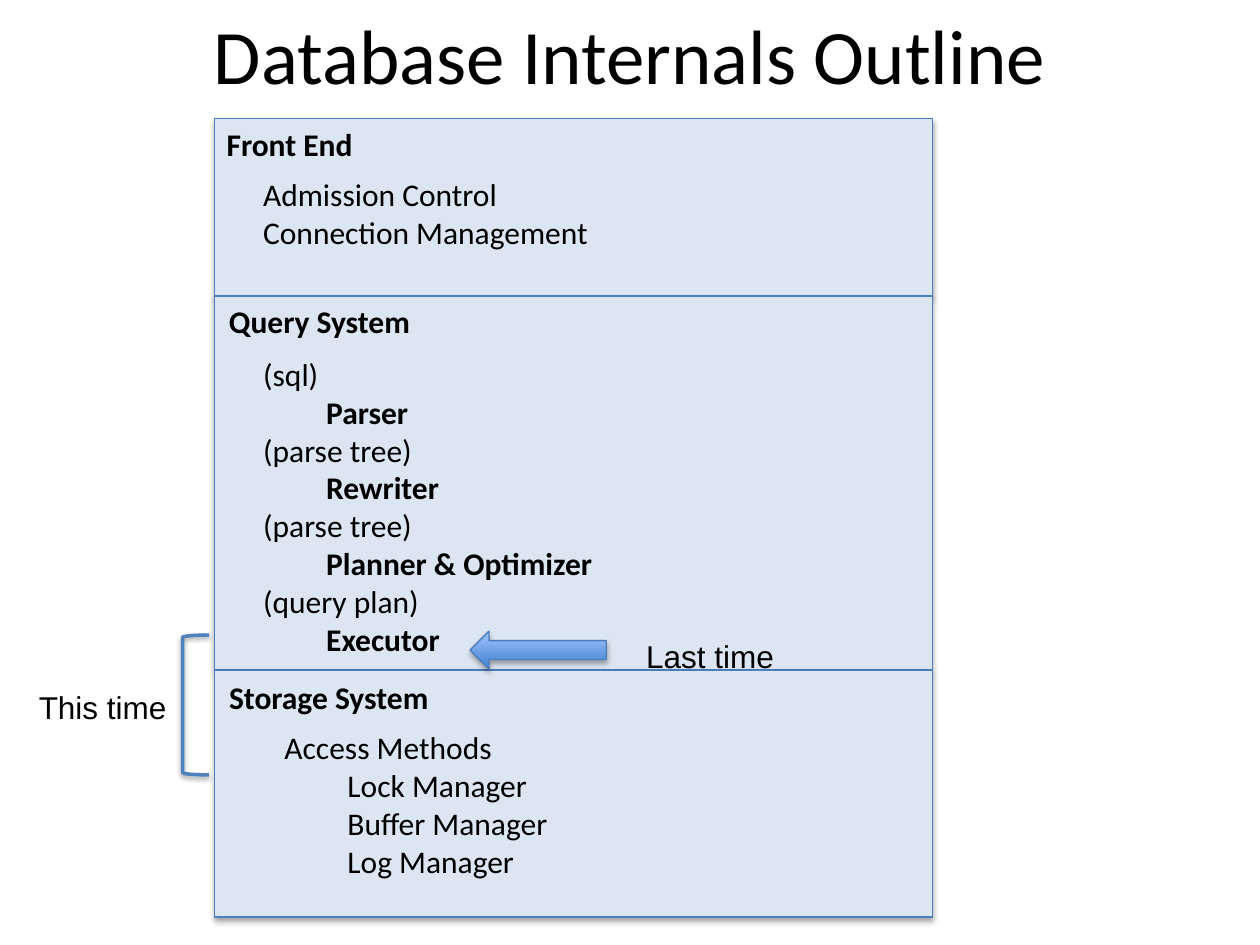
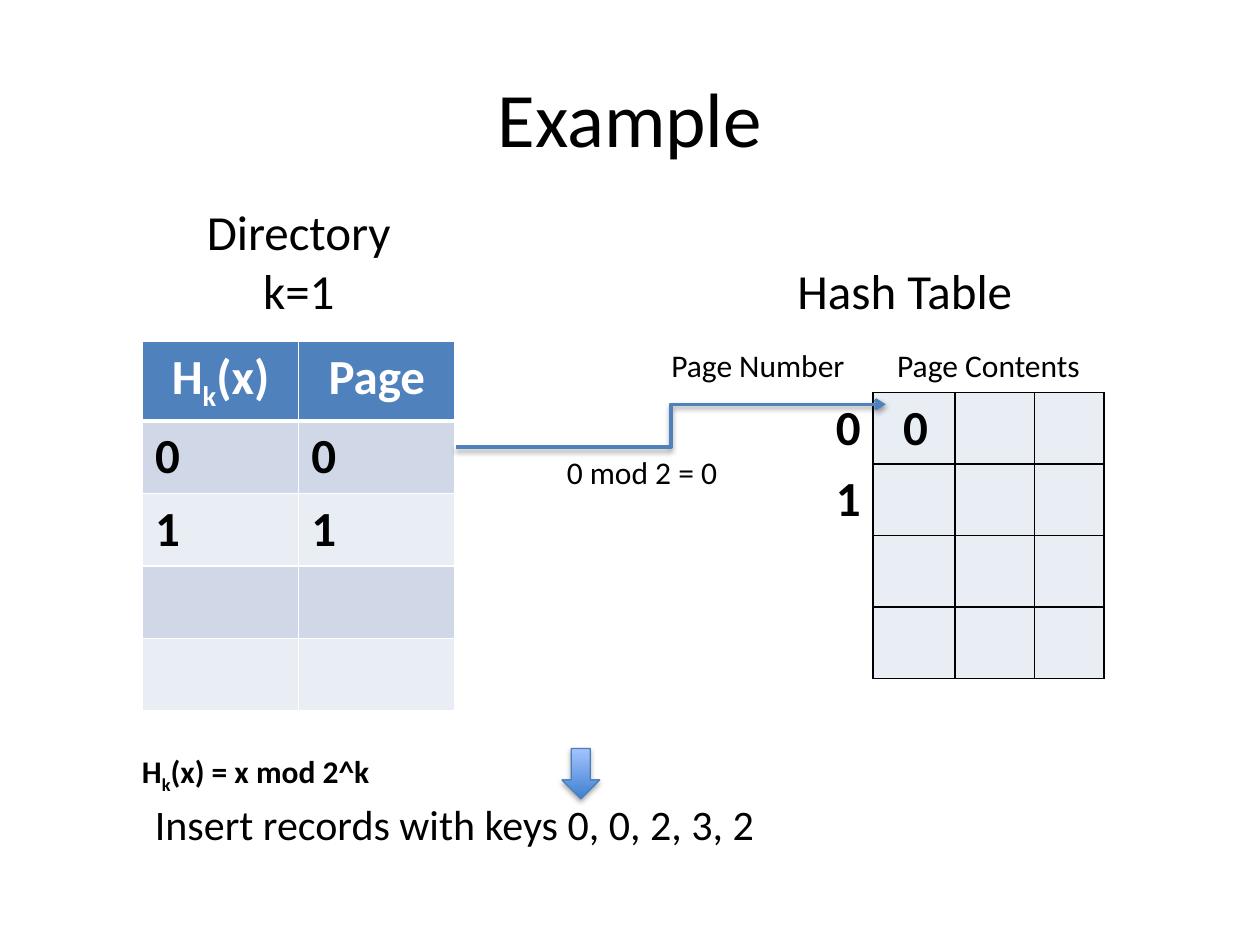
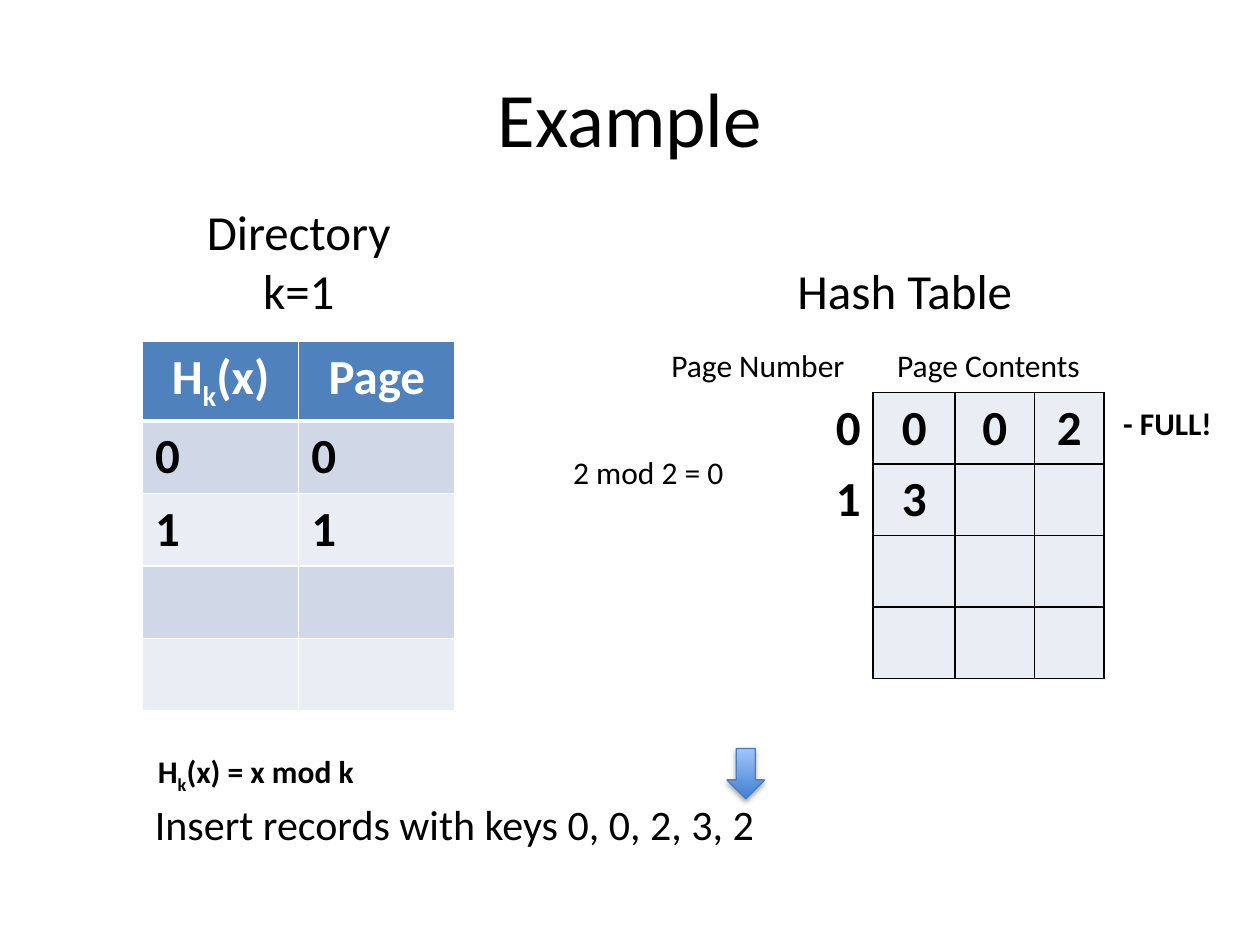
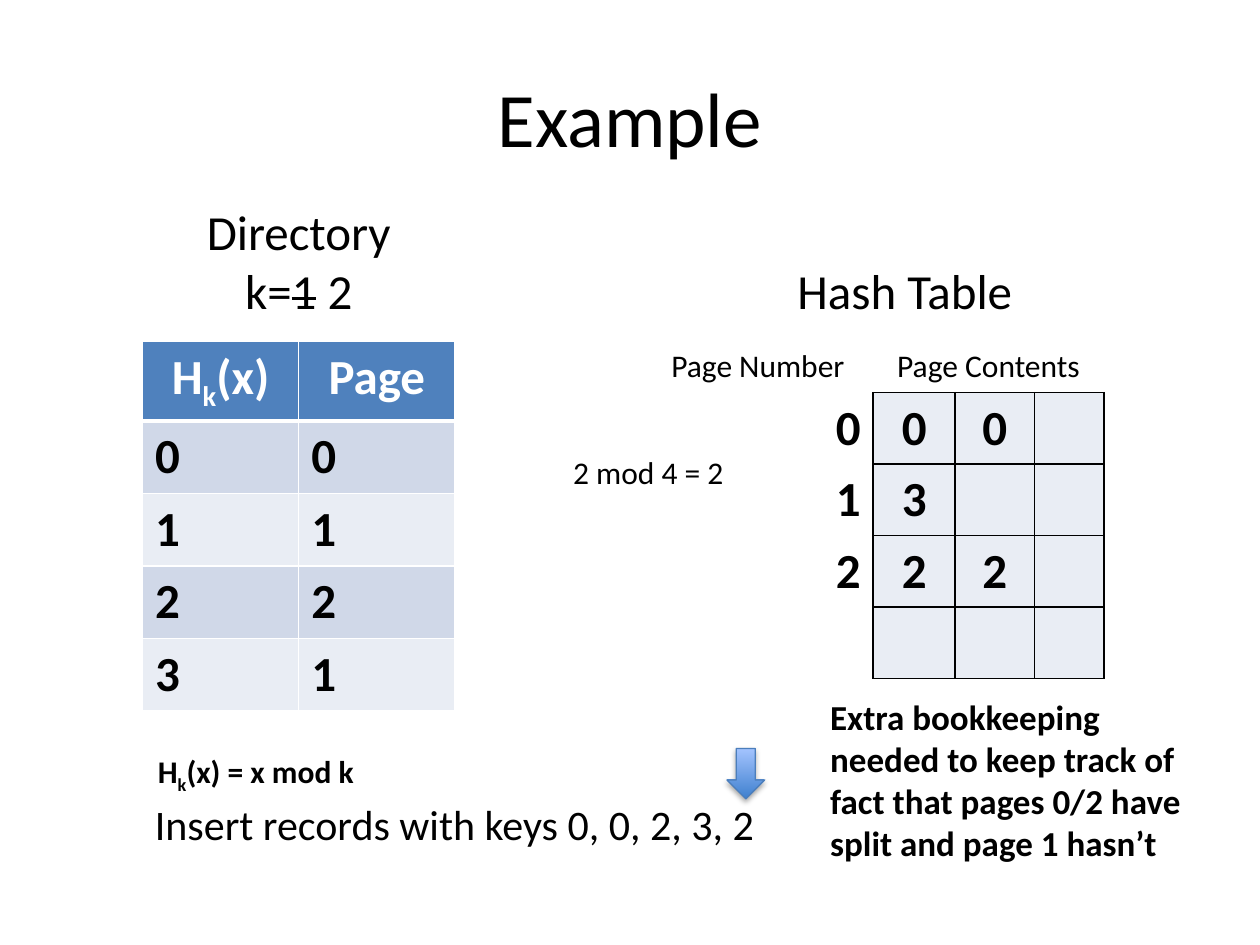
from dataclasses import dataclass
from typing import NamedTuple

from lxml import etree
from pptx import Presentation
from pptx import util as u
from pptx.dml.color import RGBColor
from pptx.enum import shapes, text
from pptx.oxml import ns

LEFT, CENTER, RIGHT = text.PP_ALIGN.LEFT, text.PP_ALIGN.CENTER, text.PP_ALIGN.RIGHT


@dataclass(frozen=True)
class Theme:
    ink: str = "000000"
    paper: str = "FFFFFF"
    accent: str = "4F81BD"
    outline: str = "4B7EBC"
    panel: str = "DCE6F2"
    band_dark: str = "D0D8E8"
    band_light: str = "E9EDF4"
    arrow_low: str = "3F80CE"
    arrow_high: str = "A4C4FF"
    font: str = "Calibri"
    note_font: str = "Arial"
    title: int = 44
    heading: int = 28
    keys: int = 24
    remark: int = 20
    body: int = 18
    thin: float = 0.75
    thick: float = 2


THEME = Theme()


class Box(NamedTuple):
    left: float
    top: float
    width: float
    height: float

    def lengths(self) -> list[u.Length]:
        return [u.Pt(value) for value in self]


class Span(NamedTuple):
    text: str
    marks: tuple[tuple[str, str], ...] = ()


class Line(NamedTuple):
    spans: tuple[Span, ...]
    bold: bool = False
    indent: float = 0


class Style(NamedTuple):
    size: float = THEME.body
    color: str = THEME.ink
    align: text.PP_ALIGN = LEFT
    font: str = THEME.font


class Edges(NamedTuple):
    left: str
    right: str
    top: str
    bottom: str
    bottom_width: float = 1


@dataclass(frozen=True)
class Panel:
    heading: str
    heading_box: Box
    height: float
    body_box: Box
    lines: tuple[Line, ...]


@dataclass(frozen=True)
class Example:
    depth: Line
    directory: tuple[str, ...]
    pages: tuple[str, ...]
    formula: str
    formula_box: Box
    sum_text: str
    sum_left: float
    pointer_left: float


def line(words: str, bold: bool = False, indent: float = 0) -> Line:
    return Line((Span(words),), bold, indent)


def hash_of_x(rest: str) -> Line:
    return Line((Span("H"), Span("k", (("baseline", "-25000"),)), Span(rest)), True)


def rgb(color: str) -> RGBColor:
    return RGBColor.from_string(color)


def write(frame, lines: tuple[Line, ...], style: Style) -> None:
    for number, item in enumerate(lines):
        paragraph = frame.add_paragraph() if number else frame.paragraphs[0]
        paragraph.alignment = style.align
        font = paragraph.font
        font.name, font.size, font.bold = style.font, u.Pt(style.size), item.bold
        font.color.rgb = rgb(style.color)
        if item.indent:
            properties = paragraph._p.get_or_add_pPr()
            properties.set("marL", str(u.Pt(item.indent)))
            properties.set("indent", "0")
        for span in item.spans:
            run = paragraph.add_run()
            run.text = span.text
            for mark, value in span.marks:
                run._r.get_or_add_rPr().set(mark, value)


def add_text(slide, box: Box, *lines: Line, style: Style = Style(),
             wrap: bool = True, anchor=text.MSO_ANCHOR.TOP, grow: bool = True) -> None:
    frame = slide.shapes.add_textbox(*box.lengths()).text_frame
    frame.word_wrap = wrap
    frame.vertical_anchor = anchor
    frame.auto_size = text.MSO_AUTO_SIZE.SHAPE_TO_FIT_TEXT if grow else text.MSO_AUTO_SIZE.NONE
    write(frame, lines, style)


def add_title(slide, words: str, top: float) -> None:
    add_text(slide, Box(36, top, 648, 90), line(words), grow=False,
             style=Style(THEME.title, align=CENTER), anchor=text.MSO_ANCHOR.MIDDLE)


def add_shadow(properties, opacity: int, distance: float) -> None:
    effects = properties.find(ns.qn("a:effectLst"))
    if effects is None:
        effects = etree.SubElement(properties, ns.qn("a:effectLst"))
    shadow = etree.SubElement(effects, ns.qn("a:outerShdw"), blurRad=str(u.Pt(3.1)),
                              dist=str(u.Pt(distance)), dir="5400000", rotWithShape="0")
    color = etree.SubElement(shadow, ns.qn("a:srgbClr"), val=THEME.ink)
    etree.SubElement(color, ns.qn("a:alpha"), val=str(opacity * 1000))


def add_outlined(slide, kind: shapes.MSO_SHAPE, box: Box, color: str = THEME.outline,
                 width: float = THEME.thin, opacity: int = 35, distance: float = 1.8):
    shape = slide.shapes.add_shape(kind, *box.lengths())
    shape.line.color.rgb = rgb(color)
    shape.line.width = u.Pt(width)
    shape.shadow.inherit = False
    add_shadow(shape._element.spPr, opacity, distance)
    return shape


def add_block_arrow(slide, kind: shapes.MSO_SHAPE, box: Box) -> None:
    fill = add_outlined(slide, kind, box).fill
    fill.gradient()
    fill.gradient_angle = 90
    for stop, color in zip(fill.gradient_stops, (THEME.arrow_low, THEME.arrow_high)):
        stop.color.rgb = rgb(color)


def add_elbow_arrow(slide, start: tuple[float, float], end: tuple[float, float]) -> None:
    elbow = slide.shapes.add_connector(
        shapes.MSO_CONNECTOR.ELBOW, *[u.Pt(value) for value in start + end])
    elbow.line.color.rgb = rgb(THEME.accent)
    elbow.line.width = u.Pt(THEME.thick)
    etree.SubElement(elbow.line._get_or_add_ln(), ns.qn("a:tailEnd"), type="arrow")
    add_shadow(elbow._element.spPr, 38, 1.6)


def add_grid(slide, left: float, top: float, columns: tuple[float, ...],
             header_height: float, row_height: float, rows: int = 5):
    heights = [header_height] + [row_height] * (rows - 1)
    box = Box(left, top, sum(columns), sum(heights))
    table = slide.shapes.add_table(rows, len(columns), *box.lengths()).table
    table.first_row = table.horz_banding = False
    for column, width in zip(table.columns, columns):
        column.width = u.Pt(width)
    for row, height in zip(table.rows, heights):
        row.height = u.Pt(height)
    return table


def fill_cell(cell, fill: str | None, edges: Edges, content: Line | None, style: Style) -> None:
    properties = cell._tc.get_or_add_tcPr()
    for side, color in zip("LRTB", edges):
        width = edges.bottom_width if side == "B" else 1
        border = etree.SubElement(properties, ns.qn(f"a:ln{side}"), w=str(u.Pt(width)))
        solid = etree.SubElement(border, ns.qn("a:solidFill"))
        etree.SubElement(solid, ns.qn("a:srgbClr"), val=color)
    if fill:
        cell.fill.solid()
        cell.fill.fore_color.rgb = rgb(fill)
    else:
        cell.fill.background()
    if content:
        write(cell.text_frame, (content,), style)


def add_directory(slide, rows: tuple[str, ...]) -> None:
    table = add_grid(slide, 81.4, 195.1, (89.3, 89.3), 45.2, 41.4)
    plain = Edges(*[THEME.paper] * 4)
    for column, heading in enumerate((hash_of_x("(x)"), line("Page", True))):
        fill_cell(table.cell(0, column), THEME.accent, plain._replace(bottom_width=3), heading,
                  Style(THEME.heading, THEME.paper, CENTER))
        for row in range(1, 5):
            value = rows[row - 1][column] if row <= len(rows) else ""
            fill_cell(table.cell(row, column), THEME.band_dark if row % 2 else THEME.band_light,
                      plain, line(value, True) if value else None, Style(THEME.heading))


def add_pages(slide, rows: tuple[str, ...]) -> None:
    table = add_grid(slide, 367.2, 195.1, (131.8, 46.8, 45.4, 39.6), 29.2, 40.8)
    white, black = THEME.paper, THEME.ink
    table.cell(0, 1).merge(table.cell(0, 3))
    headings = ("Page Number", "Page Contents", "", "")
    for column, heading in enumerate(headings):
        numbers = column == 0
        fill_cell(table.cell(0, column), None if numbers else white,
                  Edges(white, white, white, white if numbers else black),
                  line(heading) if heading else None, Style(align=CENTER))
        edges = Edges(white, black, white, white) if numbers else Edges(*[black] * 4)
        for row in range(1, 5):
            values = rows[row - 1] if row <= len(rows) else ""
            value = values[column] if column < len(values) else ""
            fill_cell(table.cell(row, column), None if numbers else THEME.band_light, edges,
                      line(value, True) if value else None,
                      Style(THEME.heading, align=RIGHT if numbers else CENTER))


def add_outline(slide, panels: tuple[Panel, ...]) -> None:
    add_title(slide, "Database Internals Outline", -14.4)
    top = 67.7
    for panel in panels:
        back = add_outlined(slide, shapes.MSO_SHAPE.RECTANGLE,
                            Box(122.4, top, 410.4, panel.height))
        back.fill.solid()
        back.fill.fore_color.rgb = rgb(THEME.panel)
        add_text(slide, panel.heading_box, line(panel.heading, True), wrap=False)
        add_text(slide, panel.body_box, *panel.lines)
        top += panel.height
    add_block_arrow(slide, shapes.MSO_SHAPE.LEFT_ARROW, Box(268.6, 360.7, 77.8, 21.6))
    bracket = add_outlined(slide, shapes.MSO_SHAPE.LEFT_BRACKET, Box(104.4, 362.9, 15.1, 79.9),
                           THEME.accent, THEME.thick, 38, 1.6)
    bracket.fill.background()
    for words, left, note_top in (("Last time", 362.2, 360.7), ("This time", 15.1, 389.5)):
        add_text(slide, Box(left, note_top, 117.4, 28.8), line(words),
                 style=Style(font=THEME.note_font))


def add_example(slide, example: Example) -> None:
    add_title(slide, "Example", 21.6)
    heading = Style(THEME.heading, align=CENTER)
    add_directory(slide, example.directory)
    add_text(slide, Box(81.4, 111.6, 178.6, 74.9), line("Directory"), example.depth, style=heading)
    add_text(slide, Box(427.7, 145.4, 178.6, 41), line("Hash Table"), style=heading)
    add_pages(slide, example.pages)
    add_text(slide, Box(81.4, 452.9, 442, 36), line("Insert records with keys 0, 0, 2, 3, 2"),
             style=Style(THEME.keys))
    add_text(slide, example.formula_box, hash_of_x(example.formula),
             style=Style(align=CENTER), wrap=False)
    add_text(slide, Box(example.sum_left, 255.6, 101.5, 28.8), line(example.sum_text), wrap=False)
    add_block_arrow(slide, shapes.MSO_SHAPE.DOWN_ARROW,
                    Box(example.pointer_left, 427.7, 21.6, 28.8))


STEP = 36
PANELS = (
    Panel("Front End", Box(122.4, 67.7, 100.1, 28.8), 101.5, Box(143.3, 96.5, 360, 51.1),
          (line("Admission Control"), line("Connection Management"))),
    Panel("Query System", Box(123.8, 169.2, 136.8, 28.8), 213.8, Box(143.3, 199.4, 324.7, 180),
          (line("(sql)"), line("Parser", True, STEP),
           line("(parse tree)"), line("Rewriter", True, STEP),
           line("(parse tree)"), line("Planner & Optimizer", True, STEP),
           line("(query plan)"), line("Executor", True, STEP))),
    Panel("Storage System", Box(123.8, 383.8, 151.9, 28.8), 141.1, Box(155.5, 412.6, 360, 95),
          (line("Access Methods"), line("Lock Manager", indent=STEP),
           line("Buffer Manager", indent=STEP), line("Log Manager", indent=STEP))),
)

SHORT_FORMULA = Box(81.4, 426.2, 129.6, 28.8)
FIRST_INSERT = Example(line("k=1"), ("00", "11"), ("0", "1"), "(x) = x mod 2^k",
                       Box(72.7, 426.2, 146.9, 28.8), "0 mod 2 = 0", 316.8, 321.1)
FULL_PAGE = Example(line("k=1"), ("00", "11"), ("0002", "13"), "(x) = x mod k",
                    SHORT_FORMULA, "2 mod 2 = 0", 320.4, 415.4)
SPLIT_PAGE = Example(Line((Span("k="), Span("1", (("strike", "sngStrike"),)), Span(" 2"))),
                     ("00", "11", "22", "31"), ("000", "13", "222"), "(x) = x mod k",
                     SHORT_FORMULA, "2 mod 4 = 2", 320.4, 415.4)


def main() -> None:
    deck = Presentation()
    deck.slide_width, deck.slide_height = u.Pt(720), u.Pt(540)
    outline, first, full, split = [deck.slides.add_slide(deck.slide_layouts[6]) for _ in range(4)]

    add_outline(outline, PANELS)

    add_example(first, FIRST_INSERT)
    add_elbow_arrow(first, (260.6, 255.6), (506.2, 231.1))
    add_text(first, Box(509, 223.2, 28.8, 41), line("0", True),
             style=Style(THEME.heading), wrap=False)

    add_example(full, FULL_PAGE)
    add_text(full, Box(634.7, 227.5, 85, 28.8), line("- FULL!", True))

    add_example(split, SPLIT_PAGE)
    add_text(split, Box(467.3, 393.8, 226.8, 104.4),
             line("Extra bookkeeping needed to keep track of fact that pages 0/2 have "
                  "split and page 1 hasn’t", True), style=Style(THEME.remark))

    deck.save("out.pptx")


main()
